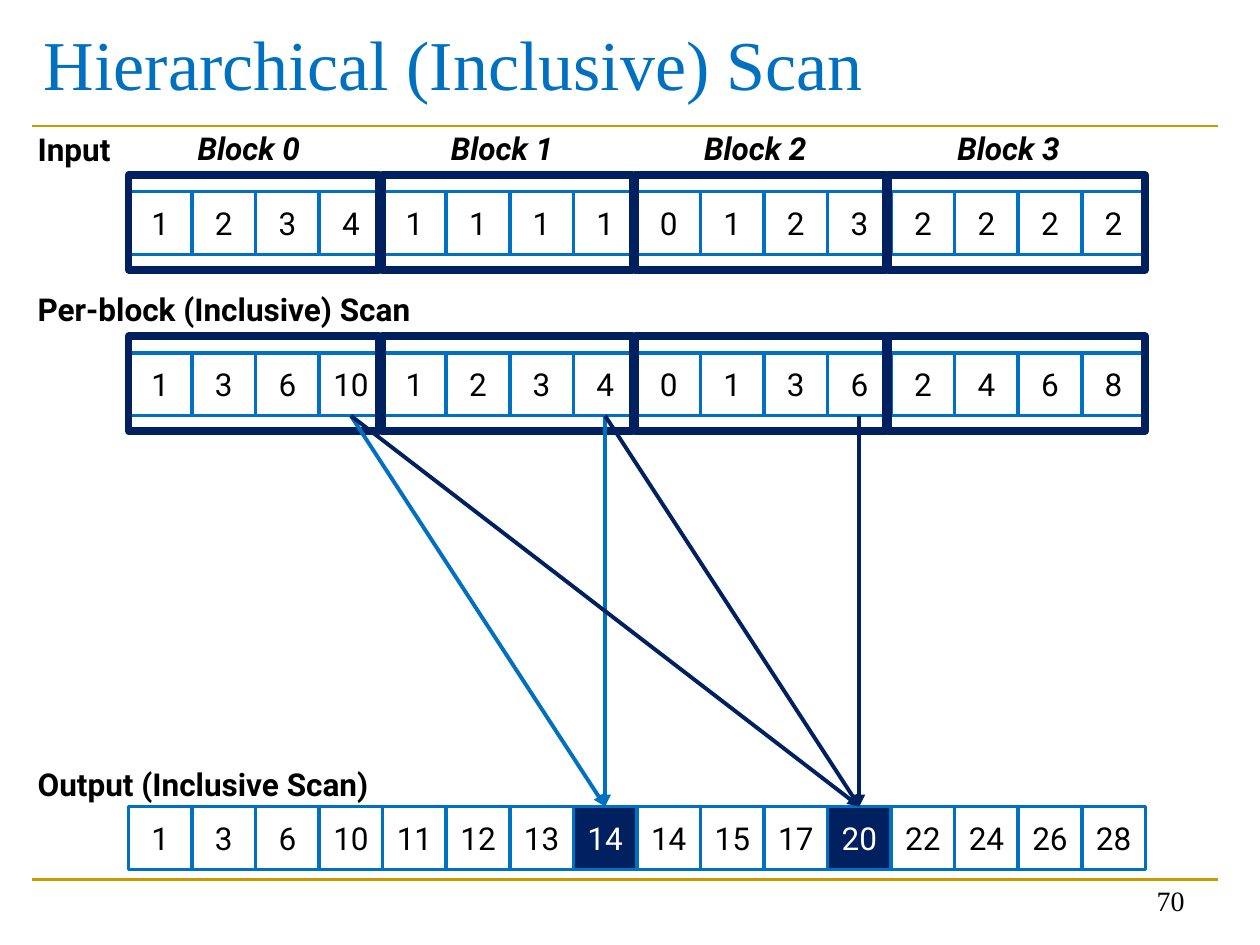
from pptx import Presentation
from pptx import util as u
from pptx.dml.color import RGBColor
from pptx.enum import shapes, text
from pptx.oxml.ns import qn
from lxml import etree

BLUE = RGBColor(0x00, 0x70, 0xC0)
NAVY = RGBColor(0x00, 0x20, 0x60)
GOLD = RGBColor(0xCC, 0x99, 0x00)
BLACK = RGBColor(0x00, 0x00, 0x00)
WHITE = RGBColor(0xFF, 0xFF, 0xFF)
SANS, SERIF = "Roboto", "Times New Roman"

WIDTH, HEIGHT = u.Inches(10), u.Inches(7.5)
COL, ROW = WIDTH / 100, HEIGHT / 75
CELL = 8.07 / 16 * 10
ROW_BOX = (10.2, 80.7, 5)
INPUT_TOP, SCAN_TOP, OUTPUT_TOP = 15.2, 28, 64
BLOCK_STEP = 20.1

INPUT = [1, 2, 3, 4, 1, 1, 1, 1, 0, 1, 2, 3, 2, 2, 2, 2]
SCAN = [1, 3, 6, 10, 1, 2, 3, 4, 0, 1, 3, 6, 2, 4, 6, 8]
OUTPUT = [1, 3, 6, 10, 11, 12, 13, 14, 14, 15, 17, 20, 22, 24, 26, 28]


def grid(left, top, width, height):
    """Turn columns and rows into slide lengths."""
    return [round(n) for n in (left * COL, top * ROW, width * COL, height * ROW)]


def write(frame, words, size, font, color, align=None, bold=False, italic=False):
    """Put one formatted run in a text frame."""
    paragraph = frame.paragraphs[0]
    if align is not None:
        paragraph.alignment = align
    run = paragraph.add_run()
    run.text = words
    run.font.size, run.font.name = u.Pt(size), font
    run.font.color.rgb = color
    if bold:
        run.font.bold = True
    if italic:
        run.font.italic = True


def textbox(slide, box, words, size, font, color, anchor=text.MSO_ANCHOR.TOP,
            wrap=True, **style):
    """Add a text box in the given box."""
    frame = slide.shapes.add_textbox(*grid(*box)).text_frame
    frame.word_wrap = wrap
    frame.vertical_anchor = anchor
    write(frame, words, size, font, color, **style)


def label(slide, left, top, width, words, italic=False):
    """Add a bold caption above a row or block."""
    textbox(slide, (left, top, width, 4), words, 18, SANS, BLACK,
            wrap=False, bold=True, italic=italic)


def line(slide, start, end, color, weight, arrow=False):
    """Draw a straight line, with an arrowhead at its end if asked."""
    (x1, y1), (x2, y2) = start, end
    connector = slide.shapes.add_connector(
        shapes.MSO_CONNECTOR.STRAIGHT, *grid(x1, y1, x2, y2))
    connector.line.color.rgb = color
    connector.line.width = u.Pt(weight)
    if arrow:
        etree.SubElement(connector.line._get_or_add_ln(), qn("a:tailEnd"),
                         type="triangle")
    etree.SubElement(connector._element.spPr, qn("a:effectLst"))


def rectangle(slide, box, fill, color, weight):
    """Add a flat outlined rectangle."""
    shape = slide.shapes.add_shape(shapes.MSO_SHAPE.RECTANGLE, *grid(*box))
    shape.shadow.inherit = False
    if fill is None:
        shape.fill.background()
    else:
        shape.fill.solid()
        shape.fill.fore_color.rgb = fill
    shape.line.color.rgb = color
    shape.line.width = u.Pt(weight)
    return shape


def cell_row(slide, top, values, highlighted=()):
    """Place a row of number cells, some of them filled dark."""
    left, width, height = ROW_BOX
    pitch = width / len(values)
    for index, value in enumerate(values):
        dark = index in highlighted
        cell = rectangle(slide, (left + index * pitch, top, pitch, height),
                         NAVY if dark else WHITE, BLUE, 2)
        frame = cell.text_frame
        frame.margin_left = frame.margin_right = 0
        frame.vertical_anchor = text.MSO_ANCHOR.MIDDLE
        write(frame, str(value), 18, SANS, WHITE if dark else BLACK,
              align=text.PP_ALIGN.CENTER)


def block_frames(slide, top):
    """Outline the four blocks around a row of cells."""
    for block in range(4):
        width = 20.4 if block == 3 else 19.9
        outline = rectangle(
            slide, (ROW_BOX[0] + block * BLOCK_STEP, top - 1.3, width, 7.5),
            None, NAVY, 4.5)
        etree.SubElement(outline.line._get_or_add_ln(), qn("a:round"))


def block_titles(slide, top):
    """Name each block above its frame."""
    for block in range(4):
        label(slide, ROW_BOX[0] + block * BLOCK_STEP + 4.5, top, 11.3,
              f"Block {block}", italic=True)


def sum_arrows(slide, sources, target, color):
    """Join the last cells of scanned blocks to the output cell they feed."""
    def centre(index):
        return ROW_BOX[0] + (index + 0.5) * CELL

    for source in sources:
        line(slide, (centre(source), SCAN_TOP + ROW_BOX[2]),
             (centre(target), OUTPUT_TOP), color, 2.25, arrow=True)


def page_furniture(slide):
    """Place the rules, title and page number."""
    for y in (69.8, 10):
        line(slide, (2.5, y), (96.7, y), GOLD, 1.5)
    textbox(slide, (2.5, 0, 94.2, 9.9), "Hierarchical (Inclusive) Scan", 40,
            SERIF, BLUE, anchor=text.MSO_ANCHOR.MIDDLE)
    textbox(slide, (71.7, 68.3, 23.3, 5), "70", 16, SERIF, BLACK,
            anchor=text.MSO_ANCHOR.BOTTOM, align=text.PP_ALIGN.RIGHT)


def scan_diagram(slide):
    """Place the three rows and the arrows between them."""
    label(slide, 2, 22.5, 35.5, "Per-block (Inclusive) Scan")
    cell_row(slide, SCAN_TOP, SCAN)
    block_frames(slide, SCAN_TOP)
    sum_arrows(slide, (3, 7), 7, BLUE)
    cell_row(slide, OUTPUT_TOP, OUTPUT, highlighted=(7, 11))
    cell_row(slide, INPUT_TOP, INPUT)
    label(slide, 2, 9.8, 9.1, "Input")
    block_frames(slide, INPUT_TOP)
    block_titles(slide, 9.75)
    label(slide, 2, 60.2, 32.2, "Output (Inclusive Scan)")
    sum_arrows(slide, (3, 7, 11), 11, NAVY)


def main():
    """Build and save the slide."""
    deck = Presentation()
    deck.slide_width, deck.slide_height = WIDTH, HEIGHT
    slide = deck.slides.add_slide(deck.slide_layouts[6])
    page_furniture(slide)
    scan_diagram(slide)
    deck.save("out.pptx")


if __name__ == "__main__":
    main()
